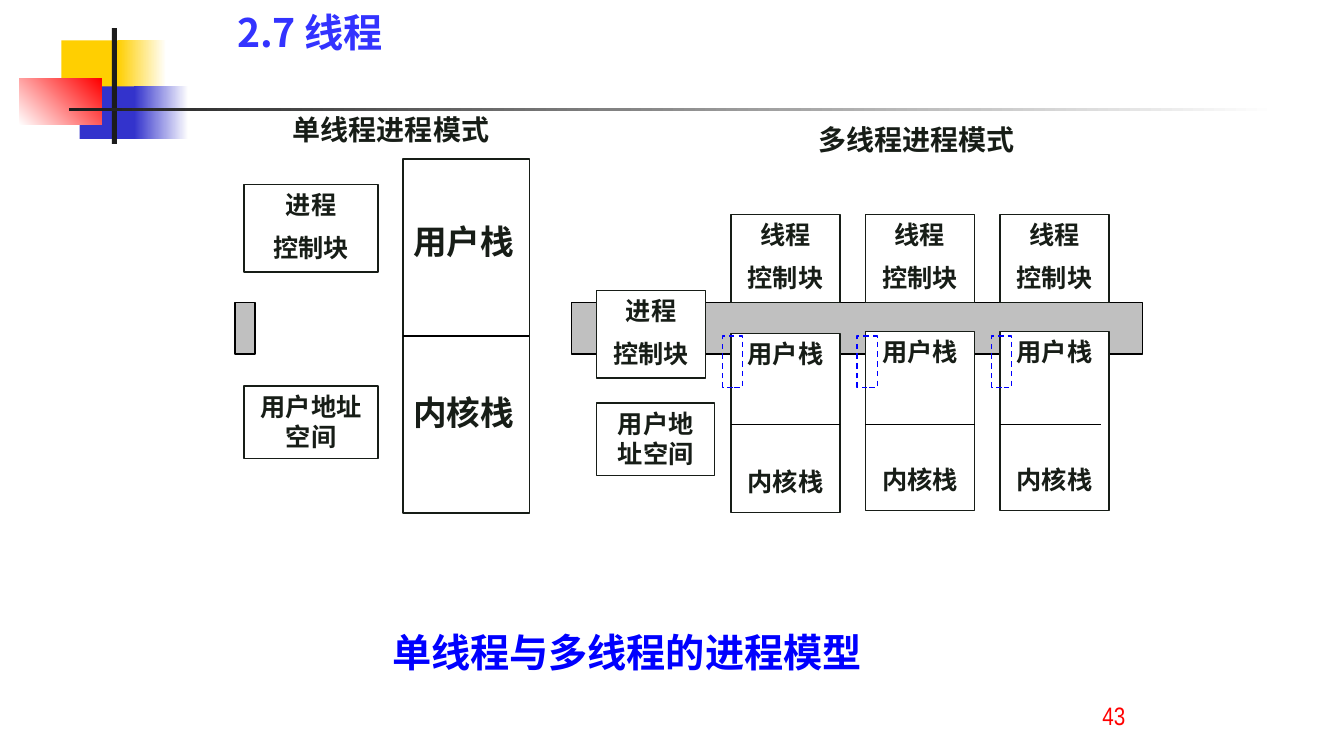
from dataclasses import dataclass

from lxml import etree
from pptx import Presentation
from pptx.dml.color import RGBColor
from pptx.enum.dml import MSO_LINE
from pptx.enum.shapes import MSO_CONNECTOR, MSO_SHAPE
from pptx.enum.text import MSO_ANCHOR, MSO_AUTO_SIZE, PP_ALIGN
from pptx.oxml.ns import qn
from pptx.util import Cm, Pt

RECT = MSO_SHAPE.RECTANGLE
STRAIGHT = MSO_CONNECTOR.STRAIGHT
DASH = MSO_LINE.DASH
TOP, MIDDLE = MSO_ANCHOR.TOP, MSO_ANCHOR.MIDDLE
LEFT, CENTER = PP_ALIGN.LEFT, PP_ALIGN.CENTER
FIXED = MSO_AUTO_SIZE.NONE


@dataclass(frozen=True)
class Theme:
    ink: str = "171D17"
    black: str = "000000"
    dark: str = "1C1C1C"
    white: str = "FFFFFF"
    gray: str = "C0C0C0"
    gold: str = "FFCF01"
    navy: str = "3333CC"
    red: str = "FF0000"
    blue: str = "0000FF"
    title: str = "3333FF"
    body: str = "Arial Narrow"
    head: str = "Noto Sans CJK SC"
    big: int = 28
    large: int = 24
    mid: int = 20
    small: int = 18


THEME = Theme()


def color(code):
    return RGBColor.from_string(code)


def write(shape, text, size, hue=THEME.ink, font=THEME.body, bold=True,
          align=LEFT, anchor=TOP, gap=None, wrap=True):
    frame = shape.text_frame
    frame.text = text
    frame.word_wrap = wrap
    frame.auto_size = FIXED
    frame.vertical_anchor = anchor
    for i, para in enumerate(frame.paragraphs):
        para.alignment = align
        para.space_before = Pt((gap or size / 2) if i else 0)
        for run in para.runs:
            run.font.size = Pt(size)
            run.font.bold = bold
            run.font.name = font
            run.font.color.rgb = color(hue)
            east = etree.SubElement(run.font._element, qn("a:ea"))
            east.set("typeface", font)


def block(slide, area, fill=None, line=None, fade=None, angle=0):
    shape = slide.shapes.add_shape(RECT, *map(Cm, area))
    shape.shadow.inherit = False
    if fade:
        shape.fill.gradient()
        shape.fill.gradient_angle = angle
        for stop, hue, spot in zip(shape.fill.gradient_stops, fade, (0, 1)):
            stop.color.rgb = color(hue)
            stop.position = spot
    elif fill:
        shape.fill.solid()
        shape.fill.fore_color.rgb = color(fill)
    else:
        shape.fill.background()
    if line:
        shape.line.color.rgb = color(line)
        shape.line.width = Pt(1)
    else:
        shape.line.fill.background()
    return shape


def card(slide, area, text):
    shape = block(slide, area, THEME.white, THEME.ink)
    write(shape, text, THEME.small, align=CENTER)


def stack(slide, area, size, gap, align):
    shape = block(slide, area, THEME.white, THEME.ink)
    write(shape, "用户栈\n内核栈", size, align=align, gap=gap)
    return shape


def rule(slide, left, right, y):
    line = slide.shapes.add_connector(STRAIGHT, Cm(left), Cm(y), Cm(right), Cm(y))
    line.line.color.rgb = color(THEME.black)
    line.line.width = Pt(1)
    etree.SubElement(line._element.spPr, qn("a:effectLst"))
    return line


def label(slide, area, text, size, **style):
    write(slide.shapes.add_textbox(*map(Cm, area)), text, size, **style)


def motif(slide):
    block(slide, (1.55, 1.02, 1.63, 1.32), THEME.gold)
    block(slide, (2.97, 1.02, 1.22, 1.32), fade=(THEME.gold, THEME.white))
    block(slide, (2.01, 2.18, 1.57, 1.32), THEME.navy)
    block(slide, (3.38, 2.18, 1.37, 1.32), fade=(THEME.navy, THEME.white))
    block(slide, (0.48, 1.98, 2.08, 1.17), fade=(THEME.white, THEME.red), angle=45)
    block(slide, (2.82, 0.71, 0.13, 2.92), THEME.dark)
    block(slide, (1.73, 2.72, 30.48, 0.08), fade=(THEME.dark, THEME.white))


def single(slide):
    block(slide, (5.92, 7.62, 0.51, 1.3), THEME.gray, THEME.black)
    card(slide, (6.15, 4.65, 3.38, 2.21), "进程\n控制块")
    card(slide, (6.15, 9.73, 3.38, 1.83), "用户地址空间")
    tall = stack(slide, (10.16, 4.01, 3.18, 8.92), THEME.large, 93, LEFT)
    tall.text_frame.margin_top = Cm(1.56)
    split = rule(slide, 10.16, 13.34, 8.47)
    split.begin_connect(tall, 1)
    split.end_connect(tall, 3)
    label(slide, (7.11, 2.72, 5.49, 1.09), "单线程进程模式", THEME.mid,
          align=CENTER, anchor=MIDDLE, wrap=False)


def multi(slide):
    block(slide, (14.4, 7.62, 14.4, 1.3), THEME.gray, THEME.black)
    card(slide, (15.04, 7.32, 2.74, 2.21), "进程\n控制块")
    card(slide, (15.04, 10.16, 2.97, 1.83), "用户地址空间")
    for i, (top, width) in enumerate(((8.41, 2.75), (8.36, 2.75), (8.36, 2.54))):
        x = 18.42 + 3.39 * i
        stack(slide, (x, top, 2.75, 4.5), THEME.small, 69.3, CENTER)
        rule(slide, x, x + width, 10.69)
        card(slide, (x, 5.41, 2.75, 2.21), "线程\n控制块")
        mark = block(slide, (x - 0.21, 8.47, 0.51, 1.3), line=THEME.blue)
        mark.line.dash_style = DASH
    label(slide, (20.35, 2.97, 5.49, 1.09), "多线程进程模式", THEME.mid,
          align=CENTER, anchor=MIDDLE, wrap=False)


def main():
    deck = Presentation()
    deck.slide_width, deck.slide_height = Cm(33.87), Cm(19.05)
    slide = deck.slides.add_slide(deck.slide_layouts[5])
    motif(slide)
    title = slide.shapes.title
    title.left, title.top, title.width, title.height = map(Cm, (5.72, 0.08, 14.43, 1.45))
    write(title, "2.7 线程", THEME.big, THEME.title, THEME.head)
    single(slide)
    multi(slide)
    label(slide, (9.63, 15.7, 16.51, 1.45), "单线程与多线程的进程模型", THEME.big,
          hue=THEME.blue, font=THEME.head)
    label(slide, (27.53, 17.53, 1.6, 0.99), "43", THEME.small,
          hue=THEME.red, bold=False)
    deck.save("out.pptx")


if __name__ == "__main__":
    main()
